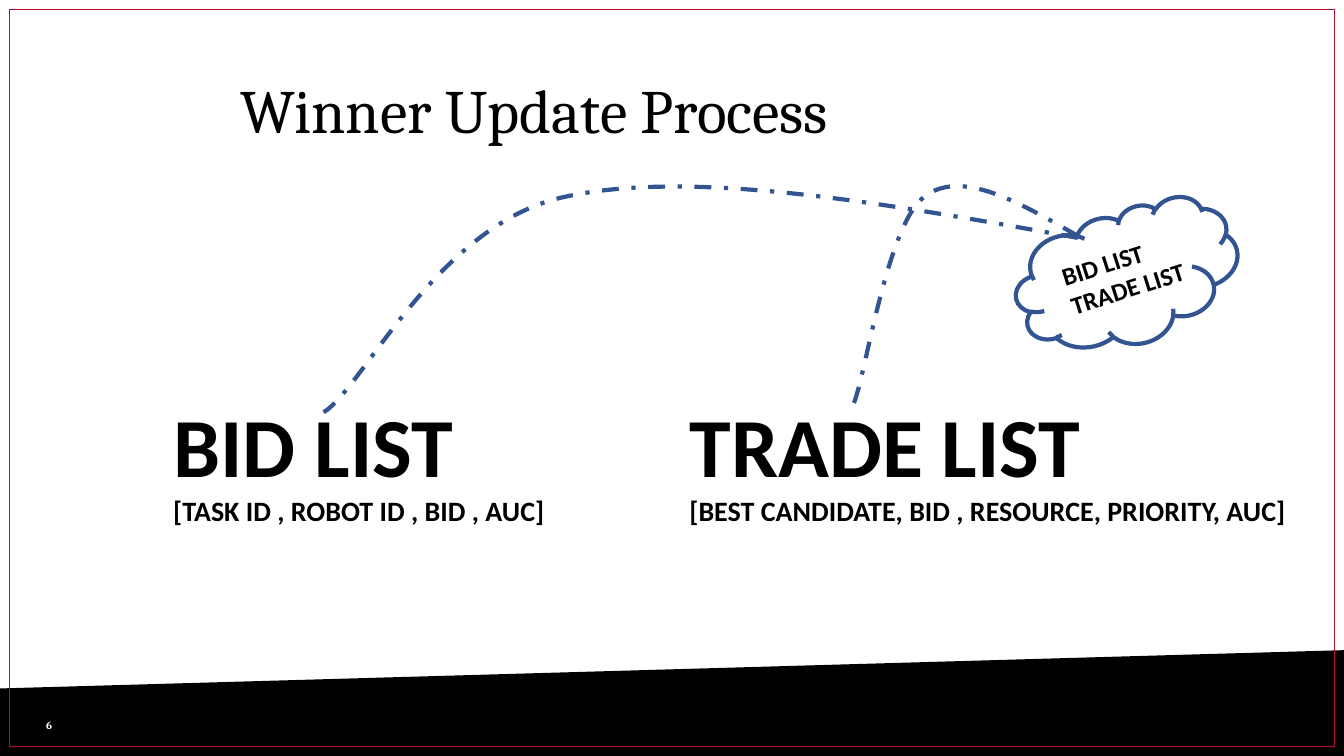
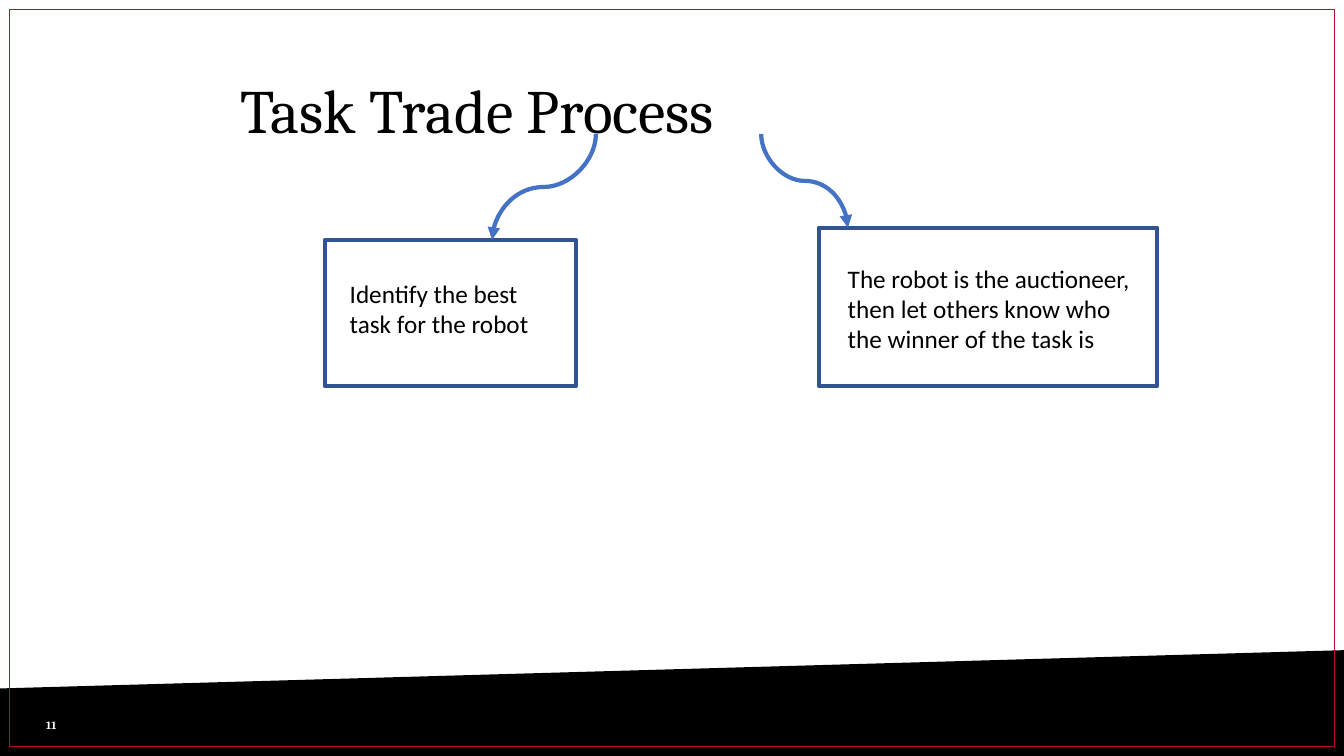
from lxml.etree import SubElement
from pptx import Presentation
from pptx.dml.color import RGBColor
from pptx.enum.dml import MSO_LINE
from pptx.enum.shapes import MSO_CONNECTOR, MSO_SHAPE
from pptx.enum.text import MSO_ANCHOR, MSO_AUTO_SIZE, PP_ALIGN
from pptx.oxml.ns import qn
from pptx.util import Emu, Pt

# Lengths are px, 100 to the inch
SCALE = 9144
WIDTH, HEIGHT = 1333, 750
TITLE_ONLY = 5

BLACK, WHITE = "000000", "FFFFFF"
CRIMSON, NAVY, BLUE = "BA0C2F", "325491", "4472C4"
HEADING_FONT, BODY_FONT = "Cambria", "Calibri"


def px(length):
    return Emu(round(length * SCALE))


def color(value):
    return RGBColor.from_string(value)


def set_line(shape, value, width=3, dash=None):
    shape.line.color.rgb = color(value)
    shape.line.width = Pt(width)
    if dash is not None:
        shape.line.dash_style = dash


def write(frame, lines, sizes, font=BODY_FONT, ink=BLACK, bold=False,
          anchor=MSO_ANCHOR.TOP, spacing=None, fit=MSO_AUTO_SIZE.NONE):
    """Fill a text frame with one paragraph for each line and size."""
    frame.word_wrap = True
    frame.auto_size = fit
    frame.vertical_anchor = anchor
    for index, (line, size) in enumerate(zip(lines, sizes)):
        para = frame.add_paragraph() if index else frame.paragraphs[0]
        para.alignment = PP_ALIGN.LEFT
        if spacing:
            para.line_spacing = spacing
        span = para.add_run()
        span.text = line
        span.font.name = font
        span.font.size = Pt(size)
        span.font.bold = bold
        span.font.color.rgb = color(ink)


def add_text(slide, place, lines, sizes, rotation=0, **text_format):
    box = slide.shapes.add_textbox(*map(px, place))
    box.rotation = rotation
    write(box.text_frame, lines, sizes, **text_format)


def add_outline(slide, kind, place, ink, width=3, rotation=0):
    shape = slide.shapes.add_shape(kind, *map(px, place))
    shape.shadow.inherit = False
    shape.fill.background()
    shape.rotation = rotation
    set_line(shape, ink, width)


def add_freeform(slide, points, closed):
    builder = slide.shapes.build_freeform(*points[0], scale=SCALE)
    builder.add_line_segments(points[1:], close=closed)
    shape = builder.convert_to_shape()
    shape.shadow.inherit = False
    return shape


def add_dashed_curve(slide, points):
    """Draw Bezier curves through a start and triples of control points."""
    shape = add_freeform(slide, points, closed=False)
    shape.fill.background()
    set_line(shape, NAVY, dash=MSO_LINE.DASH_DOT)
    # Each three straight segments become one cubic curve
    segments = list(shape.element.iter(qn("a:lnTo")))
    for start in range(0, len(segments), 3):
        curve, *others = segments[start:start + 3]
        curve.tag = qn("a:cubicBezTo")
        for other in others:
            curve.append(other[0])
            other.getparent().remove(other)


def add_curved_arrow(slide, start, end):
    """Join two points by an S curve that leaves and arrives vertically."""
    (x1, y1), (x2, y2) = start, end
    middle_x, middle_y = (x1 + x2) / 2, (y1 + y2) / 2
    half_drop, half_reach = (y2 - y1) / 2, abs(x2 - x1) / 2
    side, angle = (1, 270) if x2 > x1 else (-1, 90)
    # The unturned curve is horizontal; a quarter turn stands it up
    arrow = slide.shapes.add_connector(
        MSO_CONNECTOR.CURVE,
        px(middle_x + side * half_drop), px(middle_y - half_reach),
        px(middle_x - side * half_drop), px(middle_y + half_reach))
    properties = arrow.element.spPr
    properties.find(qn("a:xfrm")).set("rot", str(angle * 60000))
    set_line(arrow, BLUE)
    SubElement(arrow.line._get_or_add_ln(), qn("a:tailEnd"), type="triangle")
    SubElement(properties, qn("a:effectLst"))


def add_slide(deck, title, number):
    """Start a slide with the shared band, frame, number and title."""
    slide = deck.slides.add_slide(deck.slide_layouts[TITLE_ONLY])
    band = add_freeform(
        slide, [(0, 683), (WIDTH, 645), (WIDTH, HEIGHT), (0, HEIGHT)],
        closed=True)
    band.fill.solid()
    band.fill.fore_color.rgb = color(BLACK)
    band.line.fill.background()
    add_outline(slide, MSO_SHAPE.RECTANGLE, (9, 9, 1315, 732), CRIMSON, 0.75)
    add_text(slide, (36, 699, 62, 40), [number], [8], font=HEADING_FONT,
             ink=WHITE, bold=True, anchor=MSO_ANCHOR.MIDDLE)

    heading = slide.shapes.title
    heading.left, heading.top, heading.width, heading.height = map(
        px, (229, 40, 1013, 145))
    write(heading.text_frame, [title], [44], font=HEADING_FONT,
          anchor=MSO_ANCHOR.MIDDLE, spacing=0.9)
    return slide


def build_winner_update(deck):
    slide = add_slide(deck, "Winner Update Process", "6")

    # Cloud that receives both lists
    add_outline(slide, MSO_SHAPE.CLOUD, (1006, 208, 224, 134), NAVY,
                rotation=347)
    add_text(slide, (1045, 232, 166, 71), ["BID LIST", "TRADE LIST"],
             [18, 18], rotation=342.2, bold=True,
             fit=MSO_AUTO_SIZE.SHAPE_TO_FIT_TEXT)

    # Lists and their paths from the cloud
    lists = [
        ((162, 385, 514, 145), "BID LIST", "[TASK ID , ROBOT ID , BID , AUC]",
         [(1069, 236), (875, 201), (682, 167), (557, 196),
          (432, 225), (360, 385), (321, 409)]),
        ((674, 385, 616, 145), "TRADE LIST",
         "[BEST CANDIDATE, BID , RESOURCE, PRIORITY, AUC]",
         [(1069, 234), (1011, 201), (954, 167), (917, 195),
          (879, 223), (858, 378), (846, 402)]),
    ]
    for place, name, fields, curve in lists:
        add_dashed_curve(slide, curve)
        add_text(slide, place, [name, fields], [60, 20], bold=True,
                 fit=MSO_AUTO_SIZE.SHAPE_TO_FIT_TEXT)


def build_task_trade(deck):
    slide = add_slide(deck, "Task Trade Process", "11")

    # Steps: text, its place, frame, arrow start and end
    steps = [
        ("Identify the best task for the robot",
         (337, 271, 208, 71), (322, 238, 249, 145), (591, 133), (488, 238)),
        ("The robot is the auctioneer, then let others know who the winner "
         "of the task is",
         (831, 256, 303, 101), (812, 226, 336, 157), (755, 133), (841, 226)),
    ]
    for text, place, frame, start, end in steps:
        add_text(slide, place, [text], [18],
                 fit=MSO_AUTO_SIZE.SHAPE_TO_FIT_TEXT)
        add_outline(slide, MSO_SHAPE.RECTANGLE, frame, NAVY)
        add_curved_arrow(slide, start, end)


def main():
    deck = Presentation()
    deck.slide_width, deck.slide_height = px(WIDTH), px(HEIGHT)
    build_winner_update(deck)
    build_task_trade(deck)
    deck.save("out.pptx")


if __name__ == "__main__":
    main()
